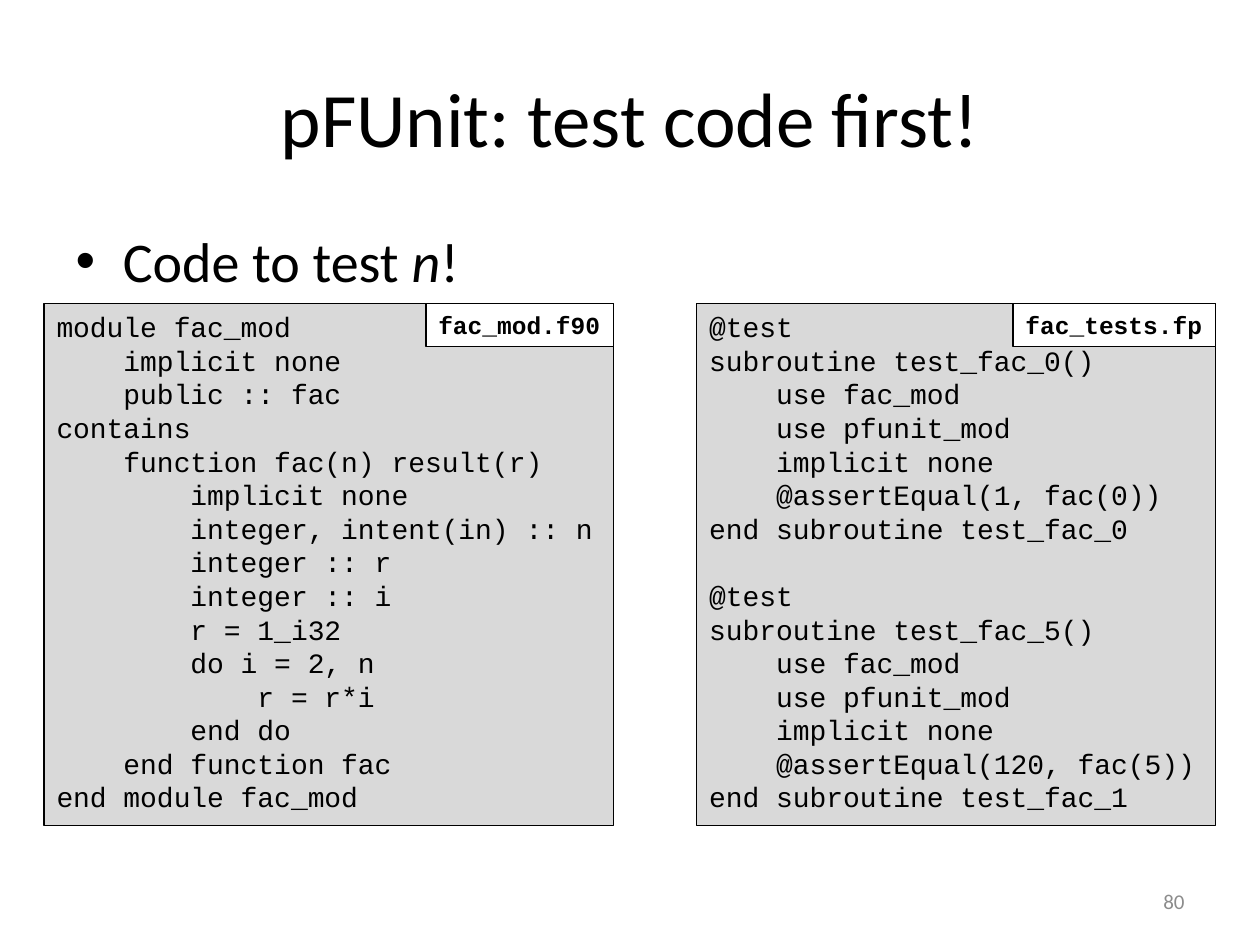
from dataclasses import dataclass
from typing import Any

from pptx import Presentation
from pptx.dml.color import RGBColor
from pptx.enum.shapes import MSO_SHAPE as Shape
from pptx.enum.text import MSO_ANCHOR as Anchor, MSO_AUTO_SIZE as AutoSize, PP_ALIGN as Align
from pptx.util import Inches, Pt

COLUMNS, ROWS = 100, 75


@dataclass(frozen=True)
class Theme:
    ink: RGBColor = RGBColor(0x00, 0x00, 0x00)
    paper: RGBColor = RGBColor(0xFF, 0xFF, 0xFF)
    code_fill: RGBColor = RGBColor(0xD9, 0xD9, 0xD9)
    muted: RGBColor = RGBColor(0x8C, 0x8C, 0x8C)
    text_font: str = "Calibri"
    code_font: str = "Courier New"
    title_size: int = 44
    body_size: int = 32
    code_size: int = 16
    tab_size: int = 14
    number_size: int = 12
    outline: float = 0.75


@dataclass(frozen=True)
class Area:
    column: float
    row: float
    columns: float
    rows: float


@dataclass(frozen=True)
class Listing:
    file_name: str
    left: float
    width: float
    tab_width: float
    code: str


THEME = Theme()
LISTING_TOP, LISTING_ROWS, TAB_ROWS = 24.1, 41.4, 3.4

LISTINGS = (
    Listing("fac_tests.fp", 55.3, 41.2, 16.1, """\
@test
subroutine test_fac_0()
    use fac_mod
    use pfunit_mod
    implicit none
    @assertEqual(1, fac(0))
end subroutine test_fac_0

@test
subroutine test_fac_5()
    use fac_mod
    use pfunit_mod
    implicit none
    @assertEqual(120, fac(5))
end subroutine test_fac_1"""),
    Listing("fac_mod.f90", 3.5, 45.2, 14.9, """\
module fac_mod
    implicit none
    public :: fac
contains
    function fac(n) result(r)
        implicit none
        integer, intent(in) :: n
        integer :: r
        integer :: i
        r = 1_i32
        do i = 2, n
            r = r*i
        end do
    end function fac
end module fac_mod"""),
)


def apply(target: Any, formats: dict[str, Any]) -> None:
    for name, value in formats.items():
        setattr(target, name, value)


def set_font(font: Any, face: str, size: int, color: RGBColor, **extra: Any) -> None:
    apply(font, {"name": face, "size": Pt(size), **extra})
    font.color.rgb = color


def frame(deck: Any, area: Area) -> dict[str, int]:
    return {
        "left": int(deck.slide_width * area.column / COLUMNS),
        "top": int(deck.slide_height * area.row / ROWS),
        "width": int(deck.slide_width * area.columns / COLUMNS),
        "height": int(deck.slide_height * area.rows / ROWS),
    }


def draw_code_box(deck: Any, group: Any, area: Area, text: str,
                  fill: RGBColor, size: int, bold: bool) -> None:
    box = group.shapes.add_shape(Shape.RECTANGLE, **frame(deck, area))
    box.shadow.inherit = False
    box.fill.solid()
    box.fill.fore_color.rgb = fill
    box.line.color.rgb = THEME.ink
    box.line.width = Pt(THEME.outline)
    apply(box.text_frame, {"text": text, "word_wrap": False,
                           "auto_size": AutoSize.SHAPE_TO_FIT_TEXT,
                           "vertical_anchor": Anchor.TOP})
    for line in box.text_frame.paragraphs:
        line.alignment = Align.LEFT
        set_font(line.font, THEME.code_font, size, THEME.ink, bold=bold)


def draw_listing(deck: Any, slide: Any, listing: Listing) -> None:
    group = slide.shapes.add_group_shape()
    code_area = Area(listing.left, LISTING_TOP, listing.width, LISTING_ROWS)
    tab_left = listing.left + listing.width - listing.tab_width
    tab_area = Area(tab_left, LISTING_TOP, listing.tab_width, TAB_ROWS)
    draw_code_box(deck, group, code_area, listing.code,
                  THEME.code_fill, THEME.code_size, False)
    draw_code_box(deck, group, tab_area, listing.file_name,
                  THEME.paper, THEME.tab_size, True)


def draw_heading(deck: Any, slide: Any) -> None:
    heading = slide.shapes.title
    apply(heading, frame(deck, Area(5, 3, 90, 12.5)))
    apply(heading.text_frame, {"text": "pFUnit: test code first!",
                               "vertical_anchor": Anchor.MIDDLE})
    line = heading.text_frame.paragraphs[0]
    line.alignment = Align.CENTER
    set_font(line.font, THEME.text_font, THEME.title_size, THEME.ink)


def draw_topic(deck: Any, slide: Any) -> None:
    topic = slide.placeholders[1]
    apply(topic, frame(deck, Area(5, 17.5, 90, 49.5)))
    line = topic.text_frame.paragraphs[0]
    line.space_before = Pt(0)
    for words, italic in (("Code to test ", False), ("n", True), ("!", False)):
        run = line.add_run()
        run.text = words
        set_font(run.font, THEME.text_font, THEME.body_size, THEME.ink, italic=italic)


def draw_page_number(deck: Any, slide: Any) -> None:
    page = slide.shapes.add_textbox(**frame(deck, Area(71.7, 69.5, 23.3, 4)))
    apply(page.text_frame, {"text": "80", "word_wrap": True,
                            "vertical_anchor": Anchor.MIDDLE})
    line = page.text_frame.paragraphs[0]
    line.alignment = Align.RIGHT
    set_font(line.font, THEME.text_font, THEME.number_size, THEME.muted)


def main() -> None:
    deck = Presentation()
    apply(deck, {"slide_width": Inches(10), "slide_height": Inches(7.5)})
    slide = deck.slides.add_slide(deck.slide_layouts[1])
    draw_heading(deck, slide)
    draw_topic(deck, slide)
    for listing in LISTINGS:
        draw_listing(deck, slide, listing)
    draw_page_number(deck, slide)
    deck.save("out.pptx")


if __name__ == "__main__":
    main()
